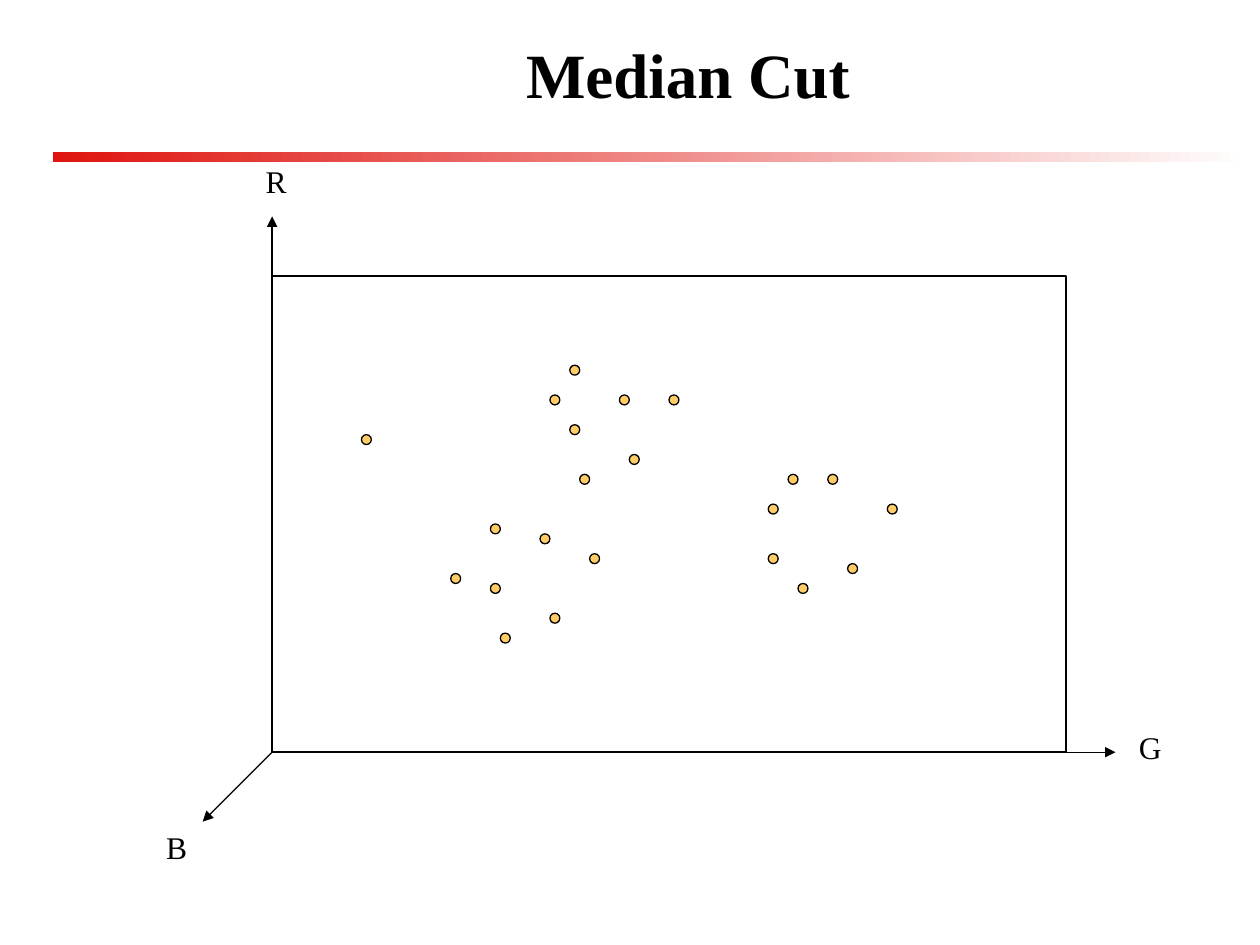
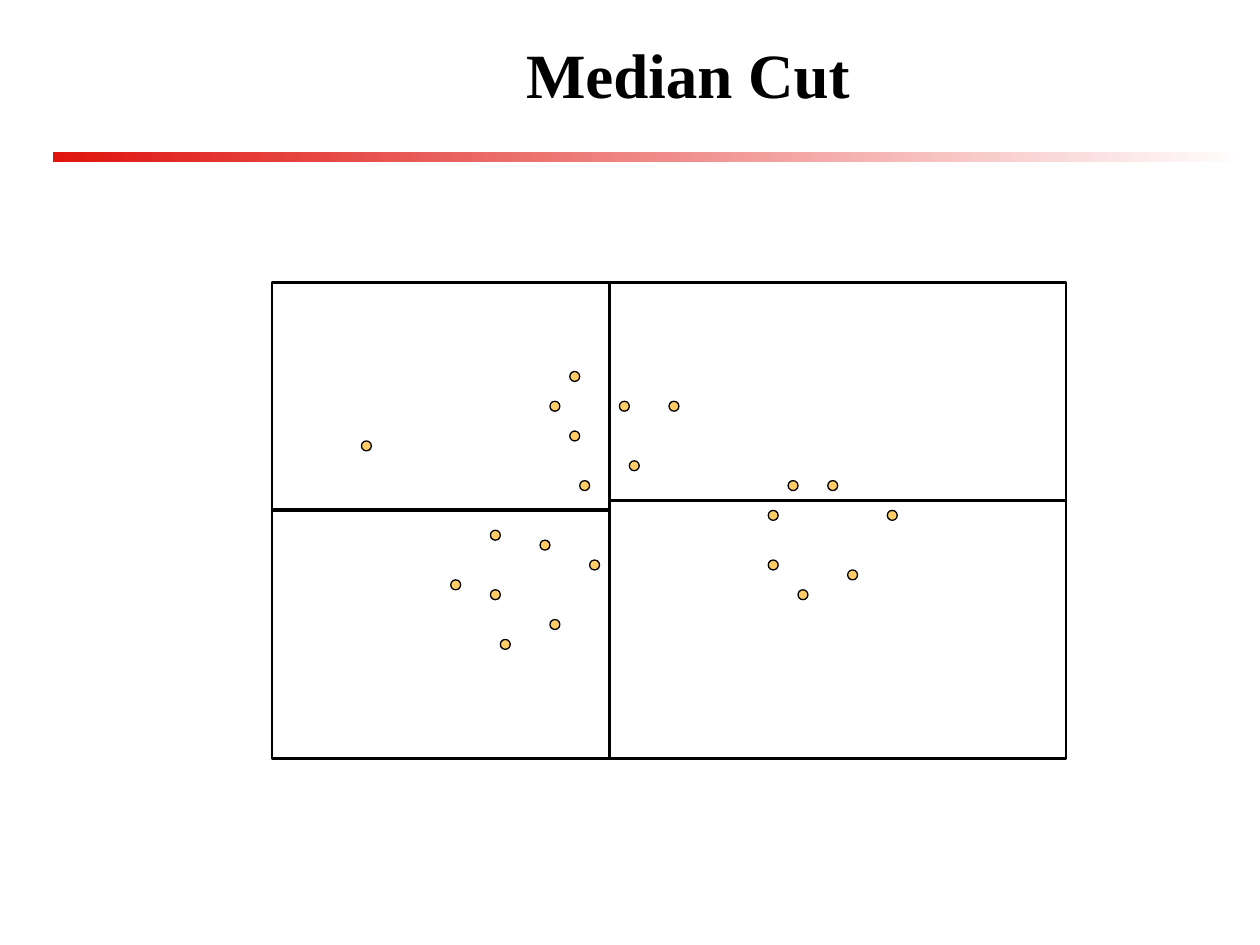
from lxml import etree
from pptx import Presentation
from pptx.dml.color import RGBColor
from pptx.enum.shapes import MSO_CONNECTOR, MSO_SHAPE
from pptx.enum.text import MSO_ANCHOR, MSO_AUTO_SIZE, PP_ALIGN
from pptx.oxml.ns import qn
from pptx.util import Inches, Pt

COLORS = {name: RGBColor.from_string(code) for name, code in {
    "ink": "000000", "dot": "FFCC66", "band": "DF140F", "paper": "FFFFFF",
}.items()}
FONT = "Times New Roman"

# The colour plane is a grid of 80 columns and 48 rows of square cells.
COLUMNS, ROWS = 80, 48
CELL = Inches(6.3) / COLUMNS
PLANE_LEFT = Inches(2.16)

# Column and row of each colour sample
SAMPLES = [
    (36, 18), (31, 20), (40, 12), (35, 12), (30, 15), (28, 12), (30, 9),
    (58, 29), (53, 31), (62, 23), (56, 20), (50, 28), (50, 23), (52, 20),
    (28, 34), (23, 36), (32, 28), (27, 26), (22, 31), (18, 30), (22, 25),
    (9, 16),
]

# Start cell, end cell and, for an axis, label with its left and top in inches
AXES = [
    ((0, 0), (0, -6), "R", 2.01, 1.24),
    ((COLUMNS, ROWS), (COLUMNS + 5, ROWS), "G", 8.94, 5.73),
    ((0, ROWS), (-7, ROWS + 7), "B", 1.22, 6.52),
]
CUTS = [
    ((34, 0), (34, ROWS)),
    ((0, 23), (34, 23)),
    ((34, 22), (COLUMNS, 22)),
]


def add_line(page, plane_top, start, end, width, arrow=False):
    """Draw a line between two grid cells of the plane."""
    ends = [(round(PLANE_LEFT + column * CELL), round(plane_top + row * CELL))
            for column, row in (start, end)]
    line = page.shapes.add_connector(MSO_CONNECTOR.STRAIGHT, *ends[0], *ends[1])
    line.line.color.rgb = COLORS["ink"]
    line.line.width = Pt(width)
    if arrow:
        etree.SubElement(line.line._get_or_add_ln(), qn("a:tailEnd"), type="triangle")
    etree.SubElement(line.element.spPr, qn("a:effectLst"))


def style_text(frame, size, bold=False):
    font = frame.paragraphs[0].runs[0].font
    font.name, font.size, font.bold = FONT, Pt(size), bold
    font.color.rgb = COLORS["ink"]


deck = Presentation()
deck.slide_width, deck.slide_height = Inches(10), Inches(7.5)
title_only = deck.slide_layouts[5]

for plane_top, axes, cuts in [(Inches(2.19), AXES, []), (Inches(2.24), [], CUTS)]:
    page = deck.slides.add_slide(title_only)

    title = page.shapes.title
    title.left, title.top = Inches(1.17), Inches(0.17)
    title.width, title.height = Inches(8.58), Inches(0.83)
    title.text_frame.text = "Median Cut"
    title.text_frame.vertical_anchor = MSO_ANCHOR.MIDDLE
    title.text_frame.paragraphs[0].alignment = PP_ALIGN.CENTER
    style_text(title.text_frame, 36, bold=True)

    band = page.shapes.add_shape(
        MSO_SHAPE.RECTANGLE, Inches(0.42), Inches(1.21), Inches(9.5), Inches(0.08))
    band.shadow.inherit = False
    band.line.fill.background()
    band.fill.gradient()
    band.fill.gradient_angle = 0
    for stop, name in zip(band.fill.gradient_stops, ("band", "paper")):
        stop.color.rgb = COLORS[name]

    for column, row in SAMPLES:
        dot = page.shapes.add_shape(
            MSO_SHAPE.OVAL, round(PLANE_LEFT + column * CELL),
            round(plane_top + row * CELL), round(CELL), round(CELL))
        dot.shadow.inherit = False
        dot.fill.solid()
        dot.fill.fore_color.rgb = COLORS["dot"]
        dot.line.color.rgb = COLORS["ink"]
        dot.line.width = Pt(0.75)

    plane = page.shapes.add_shape(
        MSO_SHAPE.RECTANGLE, PLANE_LEFT, plane_top,
        round(COLUMNS * CELL), round(ROWS * CELL))
    plane.shadow.inherit = False
    plane.fill.background()
    plane.line.color.rgb = COLORS["ink"]
    plane.line.width = Pt(1.5)

    for start, end, name, left, top in axes:
        add_line(page, plane_top, start, end, 0.75, arrow=True)
        label = page.shapes.add_textbox(
            Inches(left), Inches(top), Inches(0.38), Inches(0.4))
        label.text_frame.text = name
        label.text_frame.word_wrap = False
        label.text_frame.auto_size = MSO_AUTO_SIZE.SHAPE_TO_FIT_TEXT
        style_text(label.text_frame, 18)

    for start, end in cuts:
        add_line(page, plane_top, start, end, 2.25)

deck.save("out.pptx")
